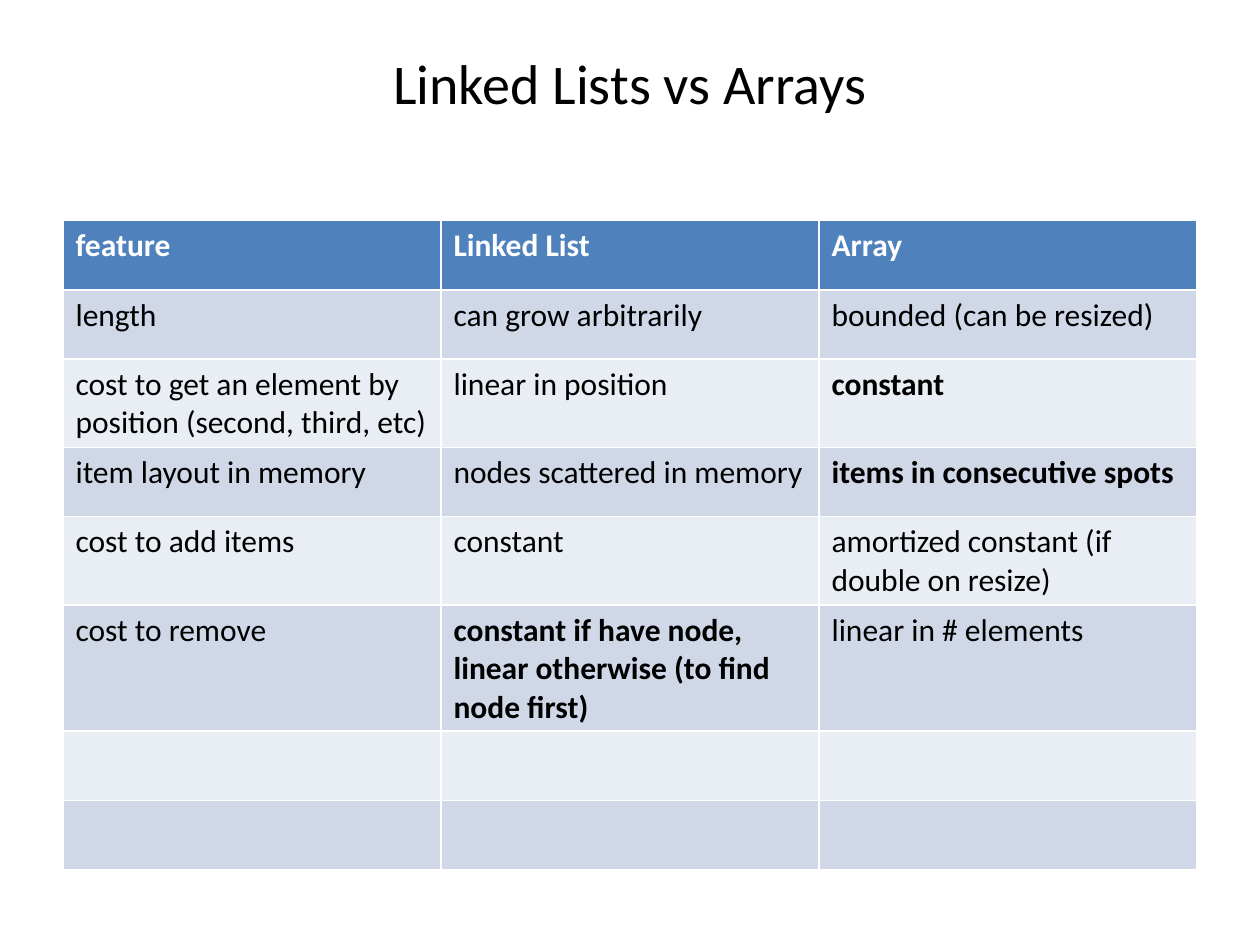
"""Build a slide that compares linked lists with arrays in a table."""
from dataclasses import dataclass

from pptx import Presentation
from pptx.dml.color import RGBColor
from pptx.enum.text import MSO_ANCHOR, PP_ALIGN
from pptx.slide import Slide
from pptx.table import _Cell
from pptx.text.text import TextFrame
from pptx.util import Inches, Pt


@dataclass(frozen=True)
class Theme:
    font: str = "Calibri"
    title: int = 32
    body: int = 18
    ink: str = "000000"
    white: str = "FFFFFF"
    head: str = "4F81BD"
    bands: tuple[str, str] = ("E9EDF4", "D0D8E8")


@dataclass(frozen=True)
class Entry:
    text: str = ""
    bold: bool = False


THEME = Theme()
ROWS = [
    [Entry("feature", True), Entry("Linked List", True), Entry("Array", True)],
    [Entry("length"), Entry("can grow arbitrarily"), Entry("bounded (can be resized)")],
    [Entry("cost to get an element by position (second, third, etc)"),
     Entry("linear in position"), Entry("constant", True)],
    [Entry("item layout in memory"), Entry("nodes scattered in memory"),
     Entry("items in consecutive spots", True)],
    [Entry("cost to add items"), Entry("constant"),
     Entry("amortized constant (if double on resize)")],
    [Entry("cost to remove"),
     Entry("constant if have node, linear otherwise (to find node first)", True),
     Entry("linear in # elements")],
    [Entry()] * 3,
    [Entry()] * 3,
]


def write(frame: TextFrame, entry: Entry, size: int, color: str) -> None:
    """Put the entry's text in the frame and format it."""
    frame.text = entry.text
    for run in frame.paragraphs[0].runs:
        run.font.name = THEME.font
        run.font.size = Pt(size)
        run.font.bold = entry.bold
        run.font.color.rgb = RGBColor.from_string(color)


def add_title(slide: Slide, text: str) -> None:
    """Add the centred slide title."""
    box = slide.shapes.add_textbox(Inches(0.5), Inches(0.3), Inches(9), Inches(0.7))
    frame = box.text_frame
    frame.word_wrap = True
    frame.vertical_anchor = MSO_ANCHOR.MIDDLE
    write(frame, Entry(text), THEME.title, THEME.ink)
    frame.paragraphs[0].alignment = PP_ALIGN.CENTER


def fill_cell(cell: _Cell, entry: Entry, row: int) -> None:
    """Write one cell and fill it by its row."""
    fill, ink = (THEME.bands[row % 2], THEME.ink) if row else (THEME.head, THEME.white)
    cell.fill.solid()
    cell.fill.fore_color.rgb = RGBColor.from_string(fill)
    write(cell.text_frame, entry, THEME.body, ink)


def add_grid(slide: Slide, rows: list[list[Entry]]) -> None:
    """Add the table with equal columns and rows."""
    high = Inches(0.55)
    table = slide.shapes.add_table(
        len(rows), len(rows[0]), Inches(0.5), Inches(1.75), Inches(9), high * len(rows)
    ).table
    for row, items in enumerate(rows):
        table.rows[row].height = high
        for col, entry in enumerate(items):
            fill_cell(table.cell(row, col), entry, row)


def main() -> None:
    """Create and save the slide."""
    deck = Presentation()
    deck.slide_width = Inches(10)
    deck.slide_height = Inches(7.5)
    slide = deck.slides.add_slide(deck.slide_layouts[6])
    add_title(slide, "Linked Lists vs Arrays")
    add_grid(slide, ROWS)
    deck.save("out.pptx")


main()
